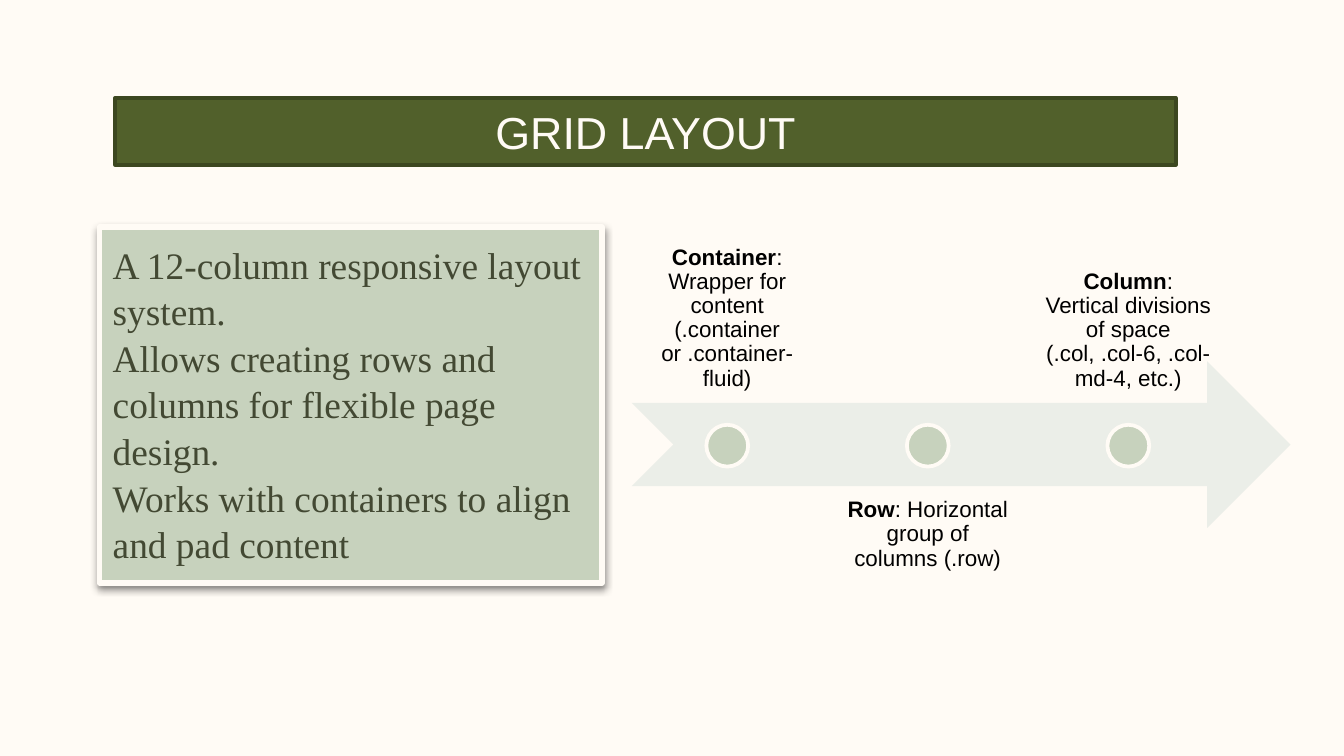
from lxml import etree
from pptx import Presentation
from pptx.dml.color import RGBColor
from pptx.enum.shapes import MSO_SHAPE
from pptx.enum.text import MSO_ANCHOR, MSO_AUTO_SIZE, PP_ALIGN
from pptx.oxml.ns import qn
from pptx.util import Cm, Pt

CREAM = RGBColor(0xFF, 0xFB, 0xF5)
OLIVE = RGBColor(0x51, 0x60, 0x2B)
DARK_OLIVE = RGBColor(0x3C, 0x47, 0x20)
MOSS = RGBColor(0x43, 0x49, 0x33)
SAGE = RGBColor(0xC7, 0xD2, 0xBD)
PALE_SAGE = RGBColor(0xEB, 0xEE, 0xE8)
BLACK = RGBColor(0, 0, 0)

RECTANGLE = MSO_SHAPE.RECTANGLE
ARROW = MSO_SHAPE.NOTCHED_RIGHT_ARROW
OVAL = MSO_SHAPE.OVAL
TOP, MIDDLE, BOTTOM = MSO_ANCHOR.TOP, MSO_ANCHOR.MIDDLE, MSO_ANCHOR.BOTTOM
LEFT, CENTER = PP_ALIGN.LEFT, PP_ALIGN.CENTER
NO_AUTOFIT = MSO_AUTO_SIZE.NONE

TITLE_ONLY = 5
TITLE_LINES = [
    "A 12-column responsive layout system.",
    "Allows creating rows and columns for flexible page design.",
    "Works with containers to align and pad content",
]
STEPS = [
    ("Container", ": Wrapper for content (.container or .container-fluid)"),
    ("Row", ": Horizontal group of columns (.row)"),
    ("Column", ": Vertical divisions of space (.col, .col-6, .col-md-4, etc.)"),
]
STEP_LEFT, STEP_PITCH = 11.94, 3.79
LABEL_WIDTH, LABEL_HEIGHT = 3.61, 3.15
LABEL_TOPS = (4.47, 9.19)
DOT_TOP, DOT_SIZE = 8.03, 0.79


def set_format(target, values):
    for name, value in values.items():
        setattr(target, name, value)


def set_frame(frame, anchor, inset):
    set_format(frame, {
        "word_wrap": True, "auto_size": NO_AUTOFIT, "vertical_anchor": anchor,
        "margin_left": Cm(inset), "margin_right": Cm(inset),
        "margin_top": Cm(inset), "margin_bottom": Cm(inset),
    })


def add_run(paragraph, text, font, size, color, bold=False):
    run = paragraph.add_run()
    run.text = text
    set_format(run.font, {"name": font, "size": Pt(size), "bold": bold})
    run.font.color.rgb = color


def paint(shape, fill, line=None, width=2):
    shape.fill.solid()
    shape.fill.fore_color.rgb = fill
    if line is None:
        shape.line.fill.background()
    else:
        shape.line.color.rgb = line
        shape.line.width = Pt(width)


def add_shape(shapes, kind, box, fill, line=None):
    shape = shapes.add_shape(kind, *map(Cm, box))
    shape.shadow.inherit = False
    paint(shape, fill, line)
    return shape


def add_soft_shadow(shape):
    effects = etree.SubElement(shape._element.spPr, qn("a:effectLst"))
    shadow = etree.SubElement(effects, qn("a:outerShdw"), {
        "blurRad": "50000", "dist": "25000", "dir": "5400000",
    })
    color = etree.SubElement(shadow, qn("a:srgbClr"), val="000000")
    etree.SubElement(color, qn("a:alpha"), val="45000")


def fill_title(title):
    set_format(title, dict(zip(
        ("left", "top", "width", "height"), map(Cm, (1.88, 4.29, 9.5, 6.73)))))
    paint(title, SAGE, CREAM, 3)
    add_soft_shadow(title)
    set_frame(title.text_frame, TOP, 0.25)
    paragraph = title.text_frame.paragraphs[0]
    set_format(paragraph, {"alignment": LEFT, "line_spacing": 1.04})
    for index, line in enumerate(TITLE_LINES):
        if index:
            paragraph.add_line_break()
        add_run(paragraph, line, "Times New Roman", 20, MOSS)


def add_banner(shapes):
    banner = add_shape(shapes, RECTANGLE, (2.18, 1.85, 20.04, 1.27), OLIVE, DARK_OLIVE)
    set_frame(banner.text_frame, MIDDLE, 0.13)
    paragraph = banner.text_frame.paragraphs[0]
    paragraph.alignment = CENTER
    add_run(paragraph, "GRID LAYOUT", "Arial", 24, CREAM)


def add_step(shapes, index, term, description):
    left = STEP_LEFT + index * STEP_PITCH
    below = index % 2
    label = shapes.add_textbox(
        *map(Cm, (left, LABEL_TOPS[below], LABEL_WIDTH, LABEL_HEIGHT)))
    set_frame(label.text_frame, TOP if below else BOTTOM, 0.23)
    paragraph = label.text_frame.paragraphs[0]
    set_format(paragraph, {"alignment": CENTER, "line_spacing": 0.9})
    add_run(paragraph, term, "Arial", 12, BLACK, True)
    add_run(paragraph, description, "Arial", 12, BLACK)
    dot_left = left + (LABEL_WIDTH - DOT_SIZE) / 2
    add_shape(shapes, OVAL, (dot_left, DOT_TOP, DOT_SIZE, DOT_SIZE), SAGE, CREAM)


def add_timeline(slide):
    shapes = slide.shapes.add_group_shape().shapes
    add_shape(shapes, ARROW, (STEP_LEFT, 6.83, 12.45, 3.15), PALE_SAGE)
    for index, (term, description) in enumerate(STEPS):
        add_step(shapes, index, term, description)


def main():
    presentation = Presentation()
    presentation.slide_width = Cm(25.4)
    presentation.slide_height = Cm(14.29)
    slide = presentation.slides.add_slide(presentation.slide_layouts[TITLE_ONLY])
    slide.background.fill.solid()
    slide.background.fill.fore_color.rgb = CREAM
    fill_title(slide.shapes.title)
    add_banner(slide.shapes)
    add_timeline(slide)
    presentation.save("out.pptx")


if __name__ == "__main__":
    main()
